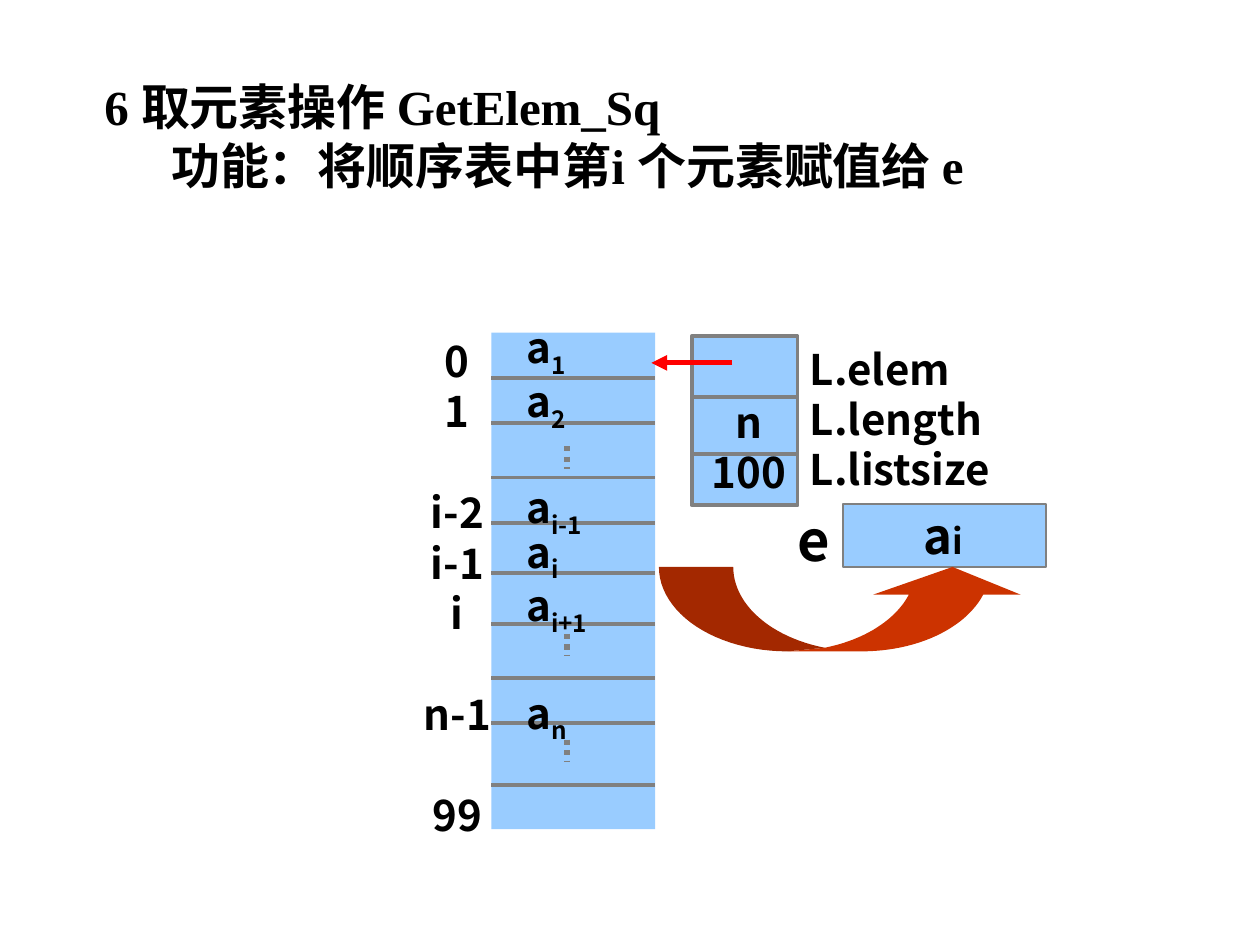
import math

import pptx
import pptx.dml.color
import pptx.enum.dml
import pptx.enum.shapes
import pptx.enum.text
import pptx.oxml.ns
import pptx.util
from lxml import etree

Inches, Pt = pptx.util.Inches, pptx.util.Pt
RGB = pptx.dml.color.RGBColor
ALIGN = pptx.enum.text.PP_ALIGN

BLUE = RGB(0x99, 0xCC, 0xFF)
GRAY = RGB(0x80, 0x80, 0x80)
RED = RGB(0xFF, 0x00, 0x00)
RUST = RGB(0xCC, 0x33, 0x00)
DARK = RGB(0xA3, 0x28, 0x00)
BLACK = RGB(0, 0, 0)
SANS, SERIF = "Noto Sans CJK SC", "Times New Roman"


class Pen:
    """Draws elements in one style on the current slide."""

    def __init__(self, slide):
        self.slide = slide

    def paint(self, shape, fill, width=0):
        shape.shadow.inherit = False
        shape.fill.solid()
        shape.fill.fore_color.rgb = fill
        if width:
            shape.line.color.rgb = GRAY
            shape.line.width = Pt(width)
        else:
            shape.line.fill.background()

    def rect(self, x, y, w, h, width=0):
        kind = pptx.enum.shapes.MSO_SHAPE.RECTANGLE
        shape = self.slide.shapes.add_shape(
            kind, Inches(x), Inches(y), Inches(w), Inches(h))
        self.paint(shape, BLUE, width)

    def line(self, x1, y1, x2, y2, color=GRAY, width=2.25, dots=False, head=False):
        kind = pptx.enum.shapes.MSO_CONNECTOR.STRAIGHT
        link = self.slide.shapes.add_connector(
            kind, Inches(x1), Inches(y1), Inches(x2), Inches(y2))
        link.line.color.rgb = color
        link.line.width = Pt(width)
        if dots:
            link.line.dash_style = pptx.enum.dml.MSO_LINE.ROUND_DOT
        qn = pptx.oxml.ns.qn
        if head:
            ln = link.line._get_or_add_ln()
            etree.SubElement(ln, qn("a:tailEnd"), type="triangle")
        etree.SubElement(link._element.spPr, qn("a:effectLst"))

    def free(self, points, fill):
        spots = [(Inches(x), Inches(y)) for x, y in points]
        path = self.slide.shapes.build_freeform(*spots[0])
        path.add_line_segments(spots[1:], close=True)
        self.paint(path.convert_to_shape(), fill)

    def text(self, x, y, w, h, rows, size=24, font=SANS, align=ALIGN.LEFT,
             pitch=None, top=None):
        """Each row is (space before, runs); each run is (words, size, is_sub)."""
        box = self.slide.shapes.add_textbox(
            Inches(x), Inches(y), Inches(w), Inches(h))
        frame = box.text_frame
        frame.word_wrap = True
        # Fixed line pitch, with the first baseline about one em down
        frame.margin_top = Pt(3.6 + size / 10) if top is None else Inches(top)
        for i, (gap, runs) in enumerate(rows):
            para = frame.add_paragraph() if i else frame.paragraphs[0]
            para.alignment = align
            para.line_spacing = Pt(pitch or size * 1.2)
            para.space_before = Pt(gap)
            for words, points, sub in runs:
                run = para.add_run()
                run.text = words
                run.font.size = Pt(points)
                run.font.bold = True
                run.font.name = font
                run.font.color.rgb = BLACK
                props = run.font._element
                if sub:
                    props.set("baseline", "-25000")
                east = etree.SubElement(props, pptx.oxml.ns.qn("a:ea"))
                east.set("typeface", SANS)
        return frame


def plain(words, size=24, gap=0):
    return gap, [(words, size, False)]


def arc(mid, start, end, steps=24):
    """Points along an ellipse of the curved arrow, angles in degrees."""
    turns = [math.radians(start + (end - start) * i / steps)
             for i in range(steps + 1)]
    return [(mid + 1.02 * math.cos(t), 4.5 + 0.67 * math.sin(t)) for t in turns]


def main():
    deck = pptx.Presentation()
    deck.slide_width, deck.slide_height = Inches(10), Inches(7.5)
    pen = Pen(deck.slides.add_slide(deck.slide_layouts[6]))

    # Target element e
    pen.rect(6.69, 4, 1.61, 0.5, 1)
    pen.text(6.23, 3.92, 0.46, 0.64, [plain("e", 32)], 32)

    # Curved arrow: two shifted ellipses that cross at the bottom
    near, far = 6.25, 6.84
    cross = math.degrees(math.acos((far - near) / 2 / 1.02))
    neck = math.degrees(math.asin(0.22 / 0.67))
    head = [(6.93, 4.72), (7.56, 4.5), (8.1, 4.72)]
    pen.free(arc(near, cross, neck) + head + arc(far, neck, 90)
             + [(near, 5.17)], RUST)
    pen.free(arc(near, 180, 90) + arc(far, 180 - cross, 180), DARK)
    pen.text(7.23, 3.92, 0.61, 0.57,
             [(0, [("a", 28, False), ("i", 20, False)])], 28)

    # Title
    title = pen.text(0.73, 0.52, 8.96, 1.04, [
        plain("6 取元素操作 GetElem_Sq", 28),
        plain("功能：将顺序表中第i 个元素赋值给 e", 28)], 28, SERIF)
    title.paragraphs[1]._p.get_or_add_pPr().set("marL", str(Inches(0.53)))

    # Storage column
    pen.rect(3.9, 2.64, 1.3, 3.94)
    for y in (3, 3.36, 3.79, 4.15, 4.55, 4.95, 5.38, 5.74, 6.23):
        pen.line(3.9, y, 5.2, y)
    for y in (3.54, 5.03, 5.87):
        pen.line(4.5, y, 4.5, y + 0.18, width=3, dots=True)
    cells = [("1", 0), ("2", 11), ("i-1", 40.5), ("i", 5.5),
             ("i+1", 10.5), ("n", 41.5)]
    pen.text(4.08, 2.71, 1.17, 3.14,
             [(gap, [("a", 24, False), (sub, 24, True)]) for sub, gap in cells],
             pitch=20, top=0.02)

    # Index labels, with one line skipped at each break
    skip = 28.8
    marks = [("0", 0), ("1", 0), ("i-2", skip), ("i-1", 0), ("i", 0),
             ("n-1", skip), ("99", skip)]
    pen.text(3, 2.58, 1.26, 4.1, [plain(word, gap=gap) for word, gap in marks],
             align=ALIGN.CENTER)

    # List record
    pen.text(6.33, 2.64, 2.59, 1.3,
             [plain(word) for word in ("L.elem", "L.length", "L.listsize")])
    pen.rect(5.49, 2.67, 0.84, 1.34, 2.25)
    for y in (3.15, 3.6):
        pen.line(5.49, y, 6.33, y)
    pen.text(5.49, 3.06, 0.91, 0.9, [plain("n"), plain("100")],
             align=ALIGN.CENTER)
    pen.line(5.81, 2.88, 5.17, 2.88, RED, 3, head=True)

    deck.save("out.pptx")


if __name__ == "__main__":
    main()
